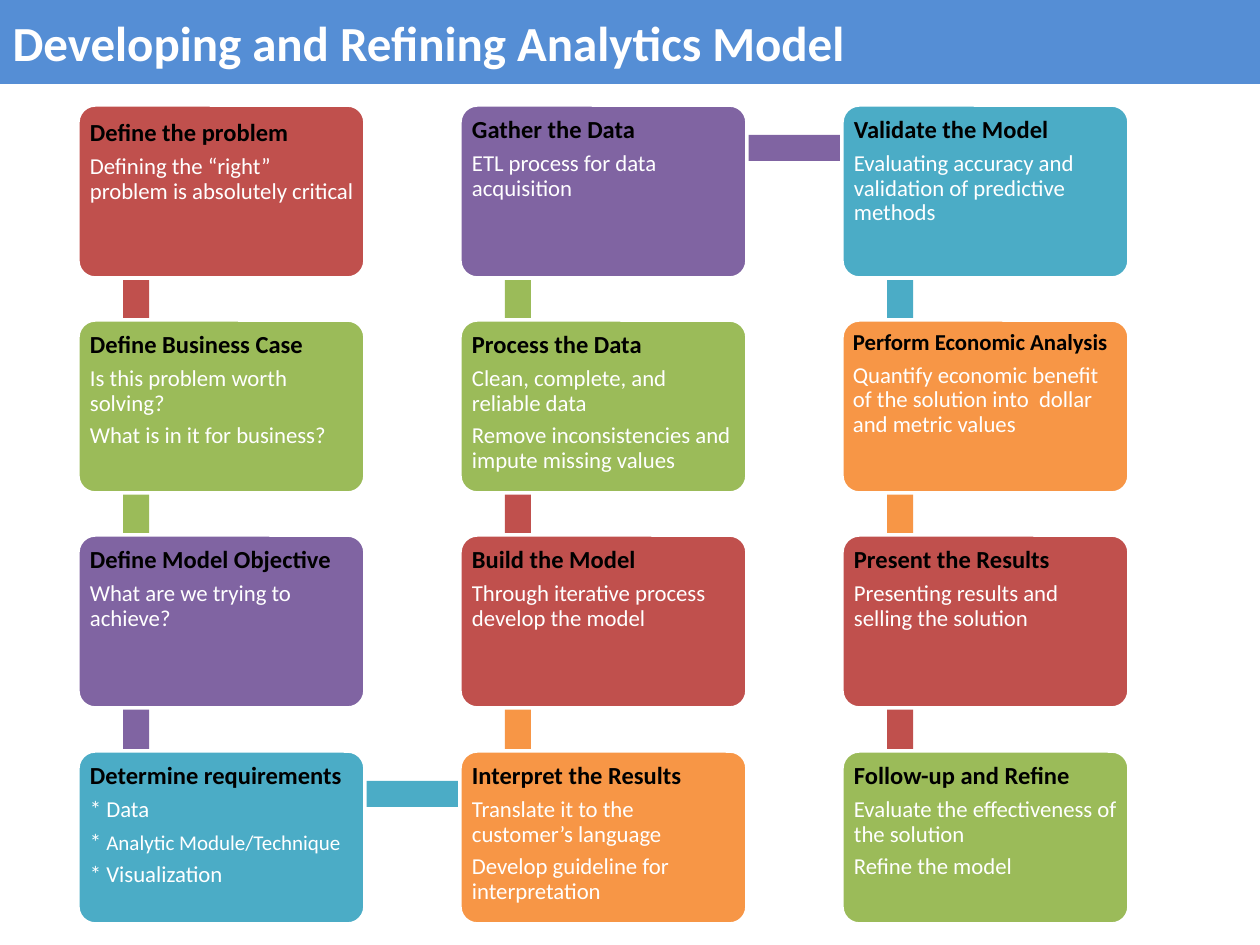
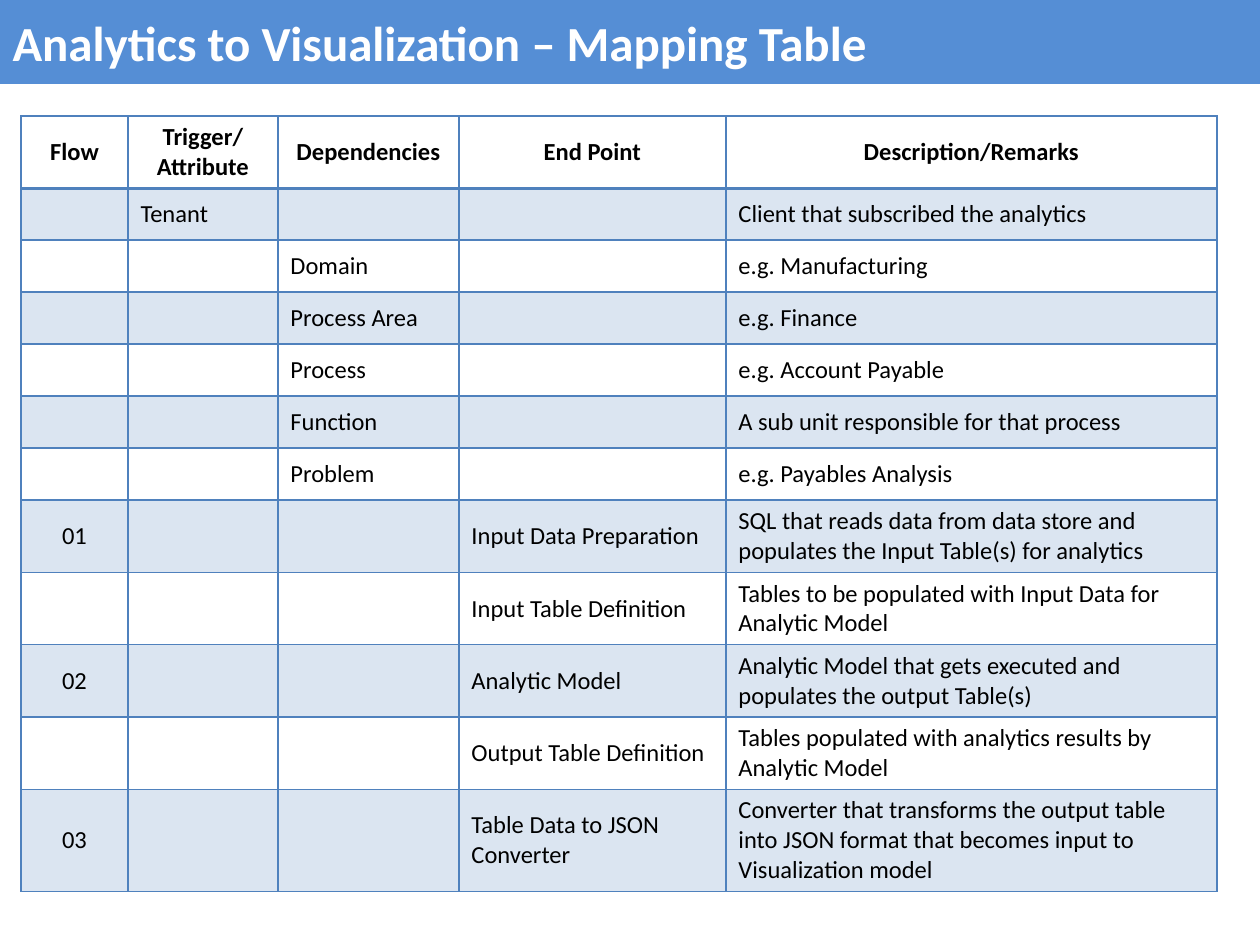
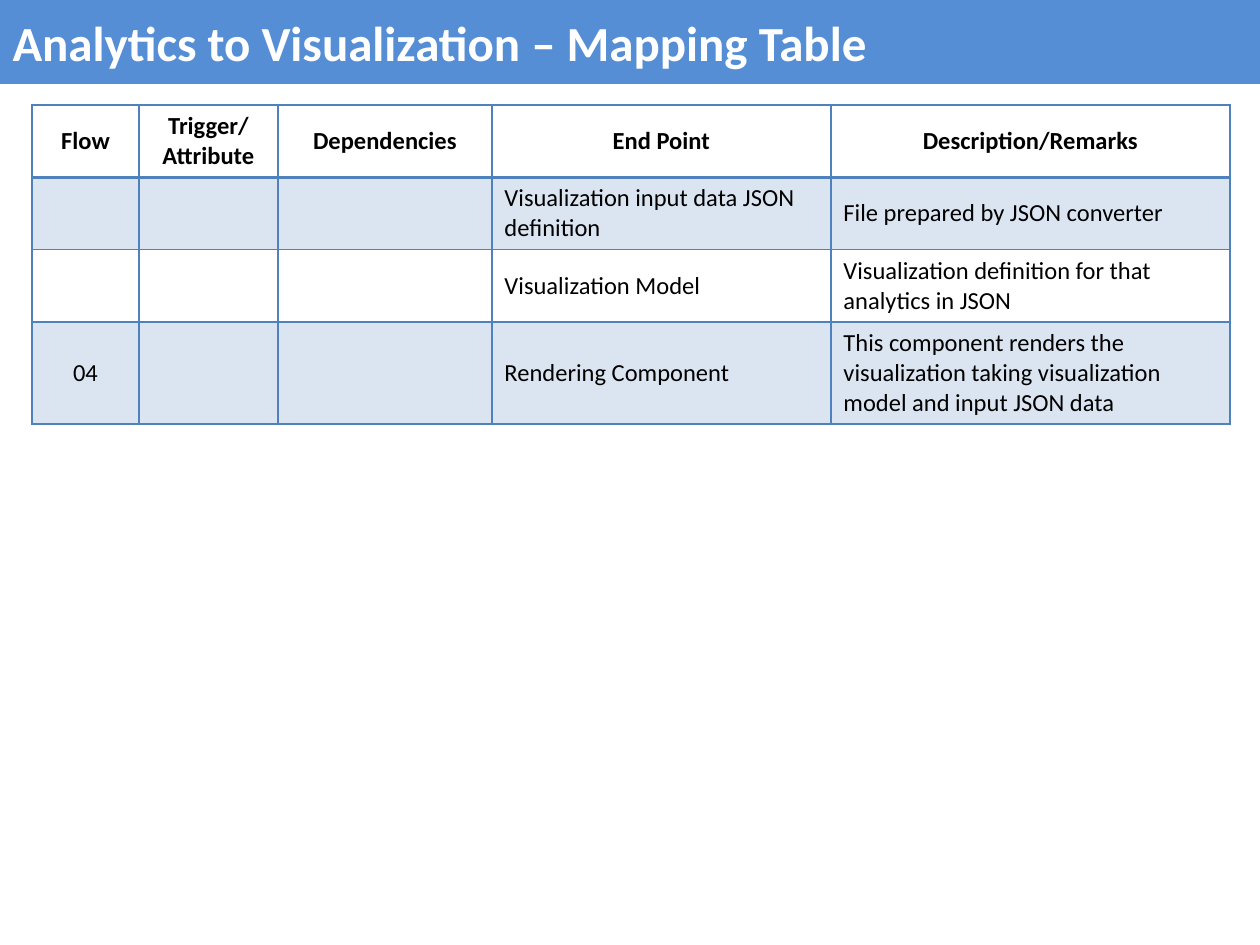
from lxml.etree import SubElement
from pptx import Presentation
from pptx.dml.color import RGBColor
from pptx.enum.shapes import MSO_SHAPE
from pptx.enum.text import MSO_ANCHOR, PP_ALIGN
from pptx.oxml.ns import qn
from pptx.util import Pt

PX = 914400 / 126
FONT = "Calibri"
WHITE = RGBColor(0xFF, 0xFF, 0xFF)
BLACK = RGBColor(0, 0, 0)
BAND = RGBColor(0x55, 0x8E, 0xD5)
BLUE = RGBColor(0x4F, 0x81, 0xBD)
RED = RGBColor(0xC0, 0x50, 0x4D)
GREEN = RGBColor(0x9B, 0xBB, 0x59)
PURPLE = RGBColor(0x80, 0x64, 0xA2)
TEAL = RGBColor(0x4B, 0xAC, 0xC6)
ORANGE = RGBColor(0xF7, 0x96, 0x46)

CARD_W, CARD_H = 287, 173
LINK_W, LINK_H = 214, 26
ROWS = 4

# Steps run down the first column, up the second and down the third.
STEPS = [
    (RED, "Define the problem",
     ["Defining the “right” problem is absolutely critical"]),
    (GREEN, "Define Business Case",
     ["Is this problem worth solving?", "What is in it for business?"]),
    (PURPLE, "Define Model Objective", ["What are we trying to achieve?"]),
    (TEAL, "Determine requirements",
     ["* Data", ("* ", "Analytic Module/Technique"), "* Visualization"]),
    (ORANGE, "Interpret the Results",
     ["Translate it to the customer’s language",
      "Develop guideline for interpretation"]),
    (RED, "Build the Model", ["Through iterative process develop the model"]),
    (GREEN, "Process the Data",
     ["Clean, complete, and reliable data",
      "Remove inconsistencies and impute missing values"]),
    (PURPLE, "Gather the Data", ["ETL process for data acquisition"]),
    (TEAL, "Validate the Model",
     ["Evaluating accuracy and validation of predictive methods"]),
    (ORANGE, "Perform Economic Analysis",
     ["Quantify economic benefit of the solution into  dollar and metric values"]),
    (RED, "Present the Results", ["Presenting results and selling the solution"]),
    (GREEN, "Follow-up and Refine",
     ["Evaluate the effectiveness of the solution", "Refine the model"]),
]

HEAD = ["Flow", "Trigger/\nAttribute", "Dependencies", "End Point",
        "Description/Remarks"]
# Each row: height, then the five cells.
FLOW = [
    (52, "", "Tenant", "", "", "Client that subscribed the analytics"),
    (52, "", "", "Domain", "", "e.g. Manufacturing"),
    (52, "", "", "Process Area", "", "e.g. Finance"),
    (52, "", "", "Process", "", "e.g. Account Payable"),
    (52, "", "", "Function", "", "A sub unit responsible for that process"),
    (52, "", "", "Problem", "", "e.g. Payables Analysis"),
    (72, "01", "", "", "Input Data Preparation",
     "SQL that reads data from data store and populates the Input Table(s) for analytics"),
    (72, "", "", "", "Input Table Definition",
     "Tables to be populated with Input Data for Analytic Model"),
    (72, "02", "", "", "Analytic Model",
     "Analytic Model that gets executed and populates the output Table(s)"),
    (72, "", "", "", "Output Table Definition",
     "Tables populated with analytics results by Analytic Model"),
    (102, "03", "", "", "Table Data to JSON Converter",
     "Converter that transforms the output table into JSON format that becomes "
     "input to Visualization model"),
]
RENDER = [
    (72, "", "", "", "Visualization input data JSON definition",
     "File prepared by JSON converter"),
    (72, "", "", "", "Visualization Model",
     "Visualization definition for that analytics in JSON"),
    (102, "04", "", "", "Rendering Component",
     "This component renders the visualization taking visualization model and "
     "input JSON data"),
]


def px(*vals):
    """Turn pixels into EMU."""
    return [round(v * PX) for v in vals]


def style(font, size, color, bold=False):
    """Set the face, size, colour and weight of a font."""
    font.name, font.size, font.bold = FONT, Pt(size), bold
    font.color.rgb = color


def add_page(deck, text):
    """Add a slide with its title band."""
    page = deck.slides.add_slide(deck.slide_layouts[5])
    title = page.shapes.title
    title.left, title.top, title.width, title.height = px(0, 0, 1260, 84)
    title.fill.solid()
    title.fill.fore_color.rgb = BAND
    title.text_frame.text = text
    title.text_frame.vertical_anchor = MSO_ANCHOR.MIDDLE
    para = title.text_frame.paragraphs[0]
    para.alignment = PP_ALIGN.LEFT
    style(para.font, 28, WHITE, True)
    return page


def add_block(shapes, kind, box, color):
    """Add a flat filled shape without outline."""
    block = shapes.add_shape(kind, *px(*box))
    block.shadow.inherit = False
    block.fill.solid()
    block.fill.fore_color.rgb = color
    block.line.fill.background()
    return block


def add_link(shapes, x, y, color, turn):
    """Add the bar leaving the card at x, y; turn 0 goes to the right."""
    if turn:
        box = (x + 58 - LINK_W // 2, y + 137, LINK_W, LINK_H)
    else:
        box = (x + 58, y + 30, 381, LINK_H)
    add_block(shapes, MSO_SHAPE.RECTANGLE, box, color).rotation = turn


def add_card(shapes, x, y, color, head, lines, size=14, pad=7, drop=0):
    """Add a rounded card with a heading and lines of text."""
    card = add_block(shapes, MSO_SHAPE.ROUNDED_RECTANGLE,
                     (x, y, CARD_W, CARD_H), color)
    card.adjustments[0] = 0.1
    card.line.color.rgb = WHITE
    card.line.width = Pt(2)

    label = shapes.add_textbox(*px(x + 5, y + 5, CARD_W - 10, CARD_H - 10))
    frame = label.text_frame
    frame.word_wrap = True
    frame.margin_left, frame.margin_right = px(pad, pad)
    frame.margin_top, frame.margin_bottom = px(pad + drop, pad)
    for i, line in enumerate([head, *lines]):
        para = frame.paragraphs[0] if i == 0 else frame.add_paragraph()
        pts = size if i == 0 else 13
        para.line_spacing = 0.9
        para.space_after = Pt(0.35 * pts)
        style(para.font, pts, WHITE if i else BLACK, i == 0)
        parts = [line] if isinstance(line, str) else line
        for j, part in enumerate(parts):
            run = para.add_run()
            run.text = part
            if j:
                run.font.size = Pt(12)


def add_snake(page, left, top):
    """Lay the steps out in columns that alternate down and up."""
    shapes = page.shapes.add_group_shape().shapes
    extra = {0: {"drop": 3}, 9: {"size": 13, "pad": 6}}

    def row_top(row):
        return top + 646 * row // 3

    for n, (color, head, lines) in enumerate(STEPS):
        col, row = divmod(n, ROWS)
        last = row == ROWS - 1
        up = col % 2 == 1
        if up:
            row = ROWS - 1 - row
        x, y = left + 382 * col, row_top(row)
        if last and n < len(STEPS) - 1:
            add_link(shapes, x, y, color, 0)
        elif not last:
            start = row_top(row - 1) if up else y
            add_link(shapes, x, start, color, 270 if up else 90)
        add_card(shapes, x, y, color, head, lines, **extra.get(n, {}))


def edge_cell(cell, head):
    """Draw the four borders of a cell, with a thick one under the head."""
    props = cell._tc.get_or_add_tcPr()
    for side in "LRTB":
        wide = Pt(2 if head and side == "B" else 1)
        line = SubElement(props, qn("a:ln" + side), w=str(wide))
        fill = SubElement(line, qn("a:solidFill"))
        SubElement(fill, qn("a:srgbClr"), val=str(BLUE))


def fill_cell(cell, text, row, col):
    """Write and format one cell; odd rows are tinted."""
    head = row == 0
    edge_cell(cell, head)
    if row % 2:
        cell.fill.solid()
        cell.fill.fore_color.rgb = BLUE
        tint = next(cell._tc.tcPr.find(qn("a:solidFill")).iter(qn("a:srgbClr")))
        SubElement(tint, qn("a:alpha"), val="20000")
    else:
        cell.fill.background()
    cell.vertical_anchor = MSO_ANCHOR.MIDDLE
    cell.text_frame.text = text
    for para in cell.text_frame.paragraphs:
        if head or col == 0:
            para.alignment = PP_ALIGN.CENTER
        style(para.font, 14, BLACK, head)


def add_map(page, left, top, cols, rows):
    """Add the mapping table with its head row."""
    rows = [(72, *HEAD), *rows]
    tall = sum(row[0] for row in rows)
    box = px(left, top, sum(cols), tall)
    table = page.shapes.add_table(len(rows), len(cols), *box).table
    table.first_row = table.horz_banding = False
    for col, wide in zip(table.columns, px(*cols)):
        col.width = wide
    for r, (high, *texts) in enumerate(rows):
        table.rows[r].height = px(high)[0]
        for c, text in enumerate(texts):
            fill_cell(table.cell(r, c), text, r, c)


def main():
    """Build the three slides."""
    deck = Presentation()
    deck.slide_width, deck.slide_height = px(1260, 945)
    add_snake(add_page(deck, "Developing and Refining Analytics Model"), 78, 105)
    name = "Analytics to Visualization – Mapping Table"
    add_map(add_page(deck, name), 21, 116, [107, 150, 181, 267, 491], FLOW)
    add_map(add_page(deck, name), 32, 105, [107, 139, 214, 339, 399], RENDER)
    deck.save("out.pptx")


main()
